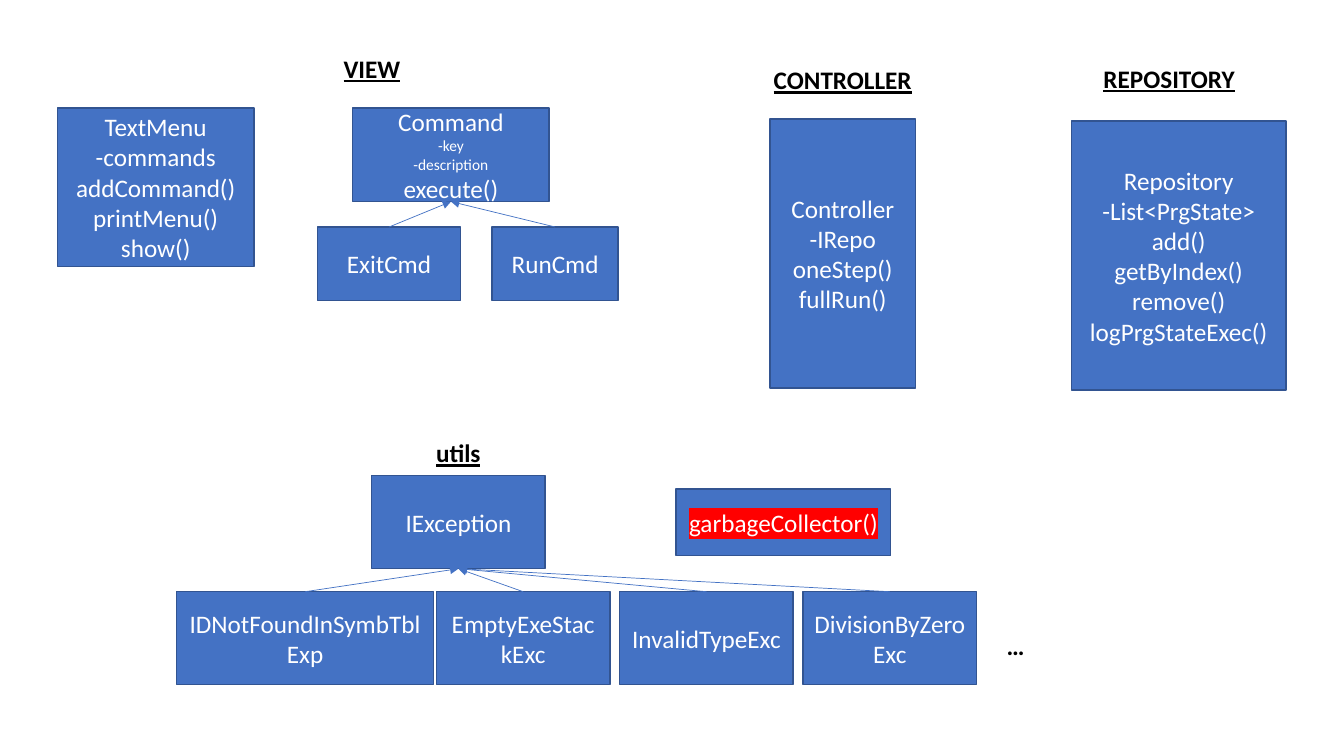
import pptx
import pptx.util
import pptx.dml.color
import pptx.enum.shapes
import pptx.enum.text
import pptx.oxml
import pptx.oxml.ns

Cm = pptx.util.Cm
Pt = pptx.util.Pt

COLOURS = {"fill": "4472C4", "edge": "325491", "light": "FFFFFF",
           "dark": "000000", "alert": "FF0000"}
FONT = "Calibri"
BODY, SMALL = 18, 11

# Headings: text, left, top, width (cm)
HEADINGS = [
    ("VIEW", 8.41, 1.22, 1.96),
    ("CONTROLLER", 19.25, 1.5, 4.01),
    ("REPOSITORY", 27.56, 1.47, 3.84),
    ("utils", 10.74, 10.9, 1.65),
]
ELLIPSIS = ("…", 25.12, 15.75, 0.97)
HEADING_HEIGHT = 1.02

# Class boxes: lines, then left, top, width, height (cm)
CLASSES = [
    (["TextMenu", "-commands", "addCommand()", "printMenu()", "show()"],
     (1.45, 2.72, 4.95, 3.99)),
    (["Command", "-key", "-description", "execute()"], (8.89, 2.72, 4.95, 2.36)),
    (["ExitCmd"], (8.0, 5.72, 3.61, 1.85)),
    (["RunCmd"], (12.4, 5.72, 3.18, 1.85)),
    (["Controller", "-IRepo", "oneStep()", "fullRun()"], (19.41, 3.0, 3.66, 6.78)),
    (["Repository", "-List<PrgState>", "add()", "getByIndex()", "remove()",
      "logPrgStateExec()"], (27.0, 3.05, 5.41, 6.78)),
    (["IException"], (9.37, 11.99, 4.37, 2.34)),
    (["IDNotFoundInSymbTblExp"], (4.45, 14.91, 6.48, 2.34)),
    (["garbageCollector()"], (17.04, 12.32, 5.41, 1.68)),
]
SMALL_LINES = {"-key", "-description"}
HIGHLIGHTED = {"garbageCollector()"}

# Equal exception boxes in one row
EXCEPTIONS = ["EmptyExeStackExc", "InvalidTypeExc", "DivisionByZeroExc"]
ROW_LEFT, ROW_TOP, ROW_STEP = 11.0, 14.91, 4.62
EXCEPTION_SIZE = (4.37, 2.34)

PARENTS = {
    "Command": ["ExitCmd", "RunCmd"],
    "IException": ["IDNotFoundInSymbTblExp"] + EXCEPTIONS,
}
TOP_SITE, BOTTOM_SITE = 0, 2


def colour(name):
    """Return the named colour as an RGB value."""
    return pptx.dml.color.RGBColor.from_string(COLOURS[name])


def write(para, text, size=BODY, ink="dark", bold=None, underline=None,
          highlight=None, align=None):
    """Write one formatted span into a paragraph."""
    para.alignment = align
    span = para.add_run()
    span.text = text
    font = span.font
    font.name, font.size, font.bold, font.underline = FONT, Pt(size), bold, underline
    font.color.rgb = colour(ink)
    if highlight:
        mark = pptx.oxml.parse_xml(
            f'<a:highlight {pptx.oxml.ns.nsdecls("a")}>'
            f'<a:srgbClr val="{COLOURS[highlight]}"/></a:highlight>')
        font._element.find(pptx.oxml.ns.qn("a:solidFill")).addnext(mark)


def add_label(page, text, left, top, width, underline=True):
    """Add a bold heading that does not wrap."""
    box = page.shapes.add_textbox(Cm(left), Cm(top), Cm(width), Cm(HEADING_HEIGHT))
    box.text_frame.word_wrap = False
    box.text_frame.auto_size = pptx.enum.text.MSO_AUTO_SIZE.SHAPE_TO_FIT_TEXT
    write(box.text_frame.paragraphs[0], text, bold=True, underline=underline)


def add_class(page, lines, place):
    """Add a class box with one centred paragraph per line."""
    box = page.shapes.add_shape(pptx.enum.shapes.MSO_SHAPE.RECTANGLE,
                                *(Cm(length) for length in place))
    box.shadow.inherit = False
    box.fill.solid()
    box.fill.fore_color.rgb = colour("fill")
    box.line.color.rgb = colour("edge")
    box.line.width = Pt(1)
    frame = box.text_frame
    frame.word_wrap = True
    frame.vertical_anchor = pptx.enum.text.MSO_ANCHOR.MIDDLE
    for index, line in enumerate(lines):
        para = frame.add_paragraph() if index else frame.paragraphs[0]
        write(para, line, ink="light", align=pptx.enum.text.PP_ALIGN.CENTER,
              size=SMALL if line in SMALL_LINES else BODY,
              highlight="alert" if line in HIGHLIGHTED else None)
    return box


def add_inheritance(page, child, parent):
    """Draw an arrow from the top of a child to the bottom of its parent."""
    arrow = page.shapes.add_connector(pptx.enum.shapes.MSO_CONNECTOR.STRAIGHT, 0, 0, 0, 0)
    arrow.begin_connect(child, TOP_SITE)
    arrow.end_connect(parent, BOTTOM_SITE)
    arrow.line.color.rgb = colour("fill")
    arrow.line.width = Pt(0.5)
    names = pptx.oxml.ns.nsdecls("a")
    arrow.line._get_or_add_ln().append(
        pptx.oxml.parse_xml(f'<a:tailEnd {names} type="triangle"/>'))
    arrow._element.spPr.append(pptx.oxml.parse_xml(f"<a:effectLst {names}/>"))


deck = pptx.Presentation()
deck.slide_width, deck.slide_height = Cm(33.87), Cm(19.05)
page = deck.slides.add_slide(deck.slide_layouts[6])

row = [([name], (ROW_LEFT + index * ROW_STEP, ROW_TOP, *EXCEPTION_SIZE))
       for index, name in enumerate(EXCEPTIONS)]
boxes = {lines[0]: add_class(page, lines, place) for lines, place in CLASSES + row}

for parent, children in PARENTS.items():
    for child in children:
        add_inheritance(page, boxes[child], boxes[parent])

for heading in HEADINGS:
    add_label(page, *heading)
add_label(page, *ELLIPSIS, underline=None)

deck.save("out.pptx")
